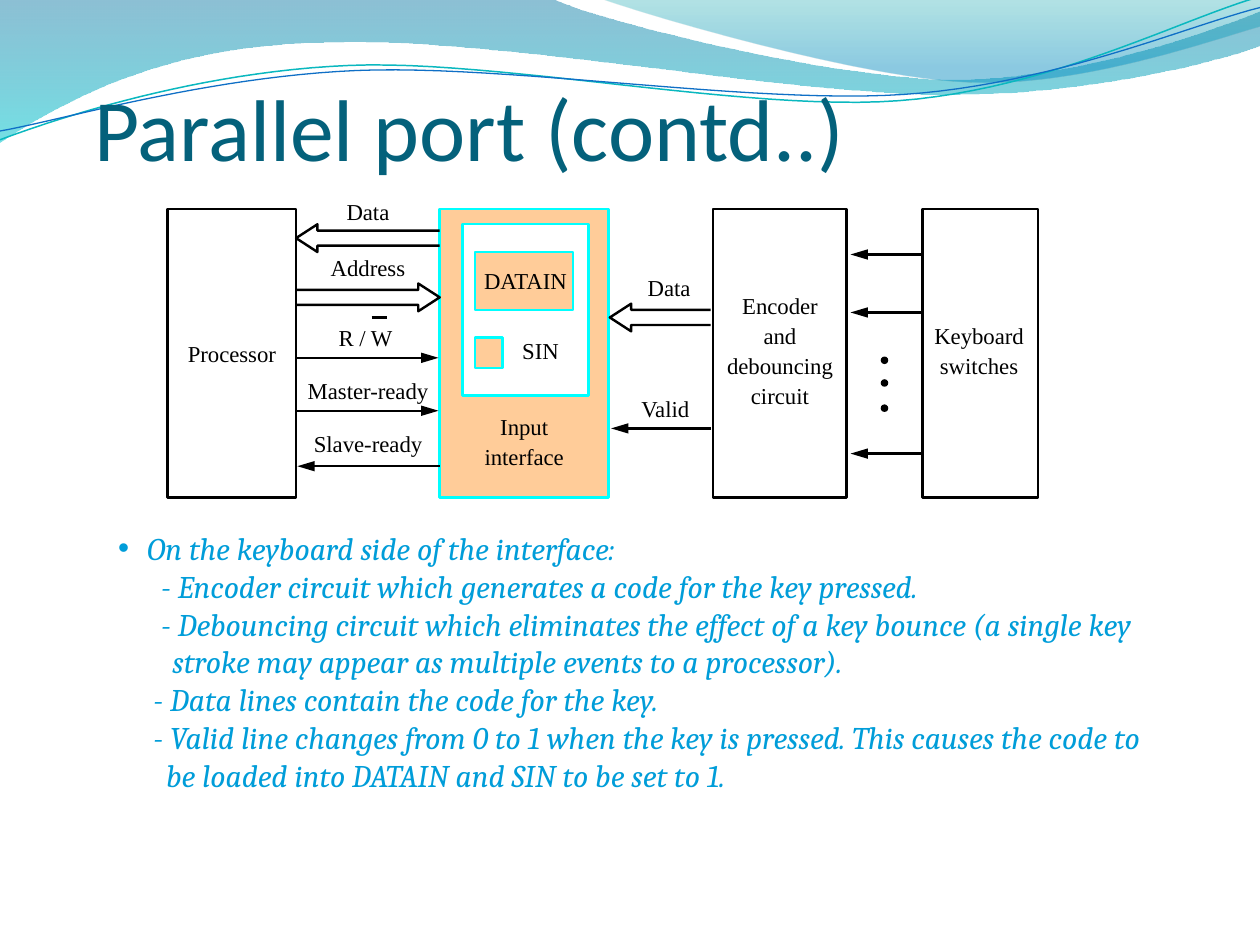
from lxml import etree
from pptx import Presentation
from pptx import util as u
from pptx.dml.color import RGBColor
from pptx.enum import shapes, text
from pptx.oxml.ns import qn

COLORS = {
    "black": "000000", "white": "FFFFFF", "cyan": "00FFFF", "peach": "FFCC99",
    "title": "04617B", "body": "009DD9", "teal line": "0AB8BF", "blue line": "0F6FC6",
}
LINE_WIDTH = 1.38
LINE_PITCH = 0.24

# Each wave is a start point followed by cubic curves (6 numbers) and straight lines (2).
WIDE_WAVE = [
    (0, 0), (4.4, 0), (4.76, 0.17, 6.64, 0.63, 7.58, 0.63),
    (8.53, 0.63, 9.58, 0.26, 10, 0.09), (10, 0.36),
    (9.83, 0.44, 8.7, 0.76, 7.46, 0.75), (6.22, 0.75, 3.82, 0.28, 2.57, 0.34),
    (1.29, 0.35, 0.46, 0.83, 0, 1.13),
]
RIGHT_WAVE = [
    (4.79, 0), (5.09, 0.11, 6.82, 0.62, 7.69, 0.65),
    (8.56, 0.69, 9.61, 0.32, 10, 0.21), (10, 0),
]
TEAL_WAVE = [
    (0, 1.11), (0.48, 0.93, 1.58, 0.57, 2.77, 0.52),
    (3.95, 0.47, 5.93, 0.89, 7.13, 0.8), (8.33, 0.71, 9.38, 0.15, 9.98, -0.02),
]
BLUE_WAVE = [
    (0, 1.04), (0.47, 0.96, 1.64, 0.61, 2.83, 0.56),
    (4.03, 0.51, 5.97, 0.83, 7.17, 0.75), (8.36, 0.67, 9.41, 0.21, 10, 0.06),
]
BOXES = [  # left, top, width, height, fill, line
    (1.33, 1.66, 1.02, 2.29, "white", "black"),
    (3.49, 1.66, 1.34, 2.29, "peach", "cyan"),
    (5.66, 1.66, 1.06, 2.29, "white", "black"),
    (7.32, 1.66, 0.92, 2.29, "white", "black"),
    (3.67, 1.78, 1, 1.36, "white", "cyan"),
    (3.77, 2, 0.78, 0.46, "peach", "cyan"),
    (3.77, 2.68, 0.22, 0.24, "peach", "cyan"),
]
BLOCK_ARROWS = [(3.49, 2.35, 1.89), (2.35, 3.49, 2.36), (5.64, 4.84, 2.52)]  # tail, tip, y
SIGNAL_ARROWS = [  # tail, tip, y
    (2.35, 3.48, 2.84), (2.35, 3.48, 3.26), (3.49, 2.36, 3.7), (5.64, 4.85, 3.4),
    (7.32, 6.75, 2.02), (7.32, 6.75, 2.48), (7.32, 6.75, 3.6),
]
LABELS = [  # lines, centre, top
    (["Processor"], 1.84, 2.7), (["Data"], 2.92, 1.58), (["Address"], 2.92, 2.02),
    (["R / W"], 2.9, 2.58), (["Master-ready"], 2.92, 3), (["Slave-ready"], 2.92, 3.42),
    (["DATAIN"], 4.17, 2.12), (["SIN"], 4.29, 2.68), (["Input", "interface"], 4.16, 3.28),
    (["Data"], 5.31, 2.18), (["Valid"], 5.28, 3.14),
    (["Encoder", "and", "debouncing", "circuit"], 6.19, 2.32),
    (["Keyboard", "switches"], 7.77, 2.56),
]
BODY = [  # text, left margin
    ("On the keyboard side of the interface:", 0.23),
    ("- Encoder circuit which generates a code for the key pressed.", 0.34),
    ("- Debouncing circuit which eliminates the effect of a key bounce (a single key", 0.34),
    ("stroke may appear as multiple events to a processor).", 0.43),
    ("- Data lines contain the code for the key.", 0.28),
    ("- Valid line changes from 0 to 1 when the key is pressed. This causes the code to", 0.28),
    ("be loaded into DATAIN and SIN to be set to 1.", 0.38),
]


def rgb(name):
    return RGBColor.from_string(COLORS.get(name, name))


def set_line(shape, color, width=LINE_WIDTH):
    shape.line.color.rgb = rgb(color)
    shape.line.width = u.Pt(width)


def write_text(frame, lines, *, font, size, color, italic=False, align=text.PP_ALIGN.LEFT,
               anchor=text.MSO_ANCHOR.TOP, insets=(0, 0, 0, 0), wrap=True, pitch=None,
               margins=None, bullet=None):
    """Fill a frame; margins indents each line and bullet marks the first one."""
    frame.auto_size = text.MSO_AUTO_SIZE.NONE
    frame.word_wrap = wrap
    frame.vertical_anchor = anchor
    (frame.margin_left, frame.margin_top,
     frame.margin_right, frame.margin_bottom) = map(u.Inches, insets)
    for index, line in enumerate(lines):
        paragraph = frame.paragraphs[0] if index == 0 else frame.add_paragraph()
        if margins:
            properties = paragraph._p.get_or_add_pPr()
            margin = u.Inches(margins[index])
            properties.set("marL", str(margin))
            if bullet and index == 0:
                properties.set("indent", str(-margin))
                etree.SubElement(properties, qn("a:buFont"), typeface="Arial")
                etree.SubElement(properties, qn("a:buChar"), char=bullet)
        paragraph.alignment = align
        if pitch:
            paragraph.line_spacing = u.Inches(pitch)
        run = paragraph.add_run()
        run.text = line
        run.font.name, run.font.size, run.font.italic = font, u.Pt(size), italic
        run.font.color.rgb = rgb(color)


def add_text(slide, lines, left, top, width, height, **style):
    box = slide.shapes.add_textbox(*map(u.Inches, (left, top, width, height)))
    write_text(box.text_frame, lines, **style)


def add_outline(slide, points, close=False):
    points = [(u.Inches(x), u.Inches(y)) for x, y in points]
    builder = slide.shapes.build_freeform(*points[0])
    builder.add_line_segments(points[1:], close=close)
    shape = builder.convert_to_shape()
    shape.shadow.inherit = False
    shape.fill.background()
    return shape


def curve_points(segments, steps=24):
    """Turn cubic curves into short straight steps."""
    points = [segments[0]]
    for segment in segments[1:]:
        if len(segment) == 2:
            points.append(segment)
            continue
        corners = [points[-1], segment[:2], segment[2:4], segment[4:]]
        for step in range(1, steps + 1):
            t = step / steps
            weights = ((1 - t) ** 3, 3 * t * (1 - t) ** 2, 3 * t * t * (1 - t), t ** 3)
            points.append(tuple(sum(w * corner[axis] for w, corner in zip(weights, corners))
                                for axis in (0, 1)))
    return points


def add_filled_wave(slide, segments, stops):
    """Each stop is a position, a colour and an opacity in percent."""
    shape = add_outline(slide, curve_points(segments), close=True)
    shape.line.fill.background()
    shape.fill.gradient()
    shape.fill.gradient_angle = 270
    for stop, (position, color, opacity) in zip(shape.fill.gradient_stops, stops):
        stop.position = position
        stop.color.rgb = rgb(color)
        element = stop._gs.find(qn("a:srgbClr"))
        etree.SubElement(element, qn("a:alpha"), val=str(opacity * 1000))


def add_preset(slide, kind, left, top, width, height, fill, line=None):
    shape = slide.shapes.add_shape(kind, *map(u.Inches, (left, top, width, height)))
    shape.shadow.inherit = False
    shape.fill.solid()
    shape.fill.fore_color.rgb = rgb(fill)
    if line:
        set_line(shape, line)
    else:
        shape.line.fill.background()


def add_line(slide, x1, y1, x2, y2, arrow=False):
    line = slide.shapes.add_connector(shapes.MSO_CONNECTOR.STRAIGHT,
                                      *map(u.Inches, (x1, y1, x2, y2)))
    set_line(line, "black")
    if arrow:
        etree.SubElement(line.line._get_or_add_ln(), qn("a:tailEnd"),
                         type="triangle", w="med", len="lg")
    etree.SubElement(line._element.spPr, qn("a:effectLst"))


def add_block_arrow(slide, tail, tip, y, shaft=0.06, head=0.11, length=0.17):
    """Draw a hollow arrow that is open at its tail."""
    neck = tip - length if tip > tail else tip + length
    upper = [(tail, -shaft), (neck, -shaft), (neck, -head)]
    lower = [(x, -offset) for x, offset in reversed(upper)]
    points = [(x, y + offset) for x, offset in upper + [(tip, 0)] + lower]
    set_line(add_outline(slide, points), "black")


def add_diagram(slide):
    for *place, fill, line in BOXES:
        add_preset(slide, shapes.MSO_SHAPE.RECTANGLE, *place, fill, line)
    for arrow in BLOCK_ARROWS:
        add_block_arrow(slide, *arrow)
    for tail, tip, y in SIGNAL_ARROWS:
        add_line(slide, tail, y, tip, y, arrow=True)
    add_line(slide, 2.95, 2.52, 3.07, 2.52)
    for y in (2.83, 3.01, 3.21):
        add_preset(slide, shapes.MSO_SHAPE.OVAL, 6.99, y, 0.06, 0.06, "black")
    for lines, centre, top in LABELS:
        width = 0.09 * max(map(len, lines))
        add_text(slide, lines, centre - width / 2, top - 0.03, width, LINE_PITCH * len(lines),
                 font="Times New Roman", size=13, color="black", wrap=False,
                 align=text.PP_ALIGN.CENTER, pitch=LINE_PITCH)


def main():
    presentation = Presentation()
    presentation.slide_width, presentation.slide_height = u.Inches(10), u.Inches(7.5)
    slide = presentation.slides.add_slide(presentation.slide_layouts[5])
    add_filled_wave(slide, WIDE_WAVE, [(0, "0074A1", 45), (1, "00C6CF", 55)])
    add_filled_wave(slide, RIGHT_WAVE, [(0, "00A1A9", 30), (0.8, "008BBF", 45)])
    set_line(add_outline(slide, curve_points(TEAL_WAVE)), "teal line", 0.85)
    set_line(add_outline(slide, curve_points(BLUE_WAVE)), "blue line", 0.75)

    title = slide.shapes.title
    slide.shapes._spTree.append(title._element)  # in front of the waves
    title.left, title.top, title.width, title.height = map(u.Inches, (0.75, 0.5, 7.17, 0.92))
    write_text(title.text_frame, ["Parallel port (contd..)"], font="Calibri", size=50,
               color="title", anchor=text.MSO_ANCHOR.BOTTOM, insets=(0, 0.05, 0, 0))
    lines, margins = zip(*BODY)
    add_text(slide, lines, 0.84, 4.15, 8.54, 2.2, font="Cambria", size=18, color="body",
             italic=True, insets=(0.1, 0.05, 0.1, 0.05), margins=margins, bullet="•")
    add_diagram(slide)
    presentation.save("out.pptx")


if __name__ == "__main__":
    main()
